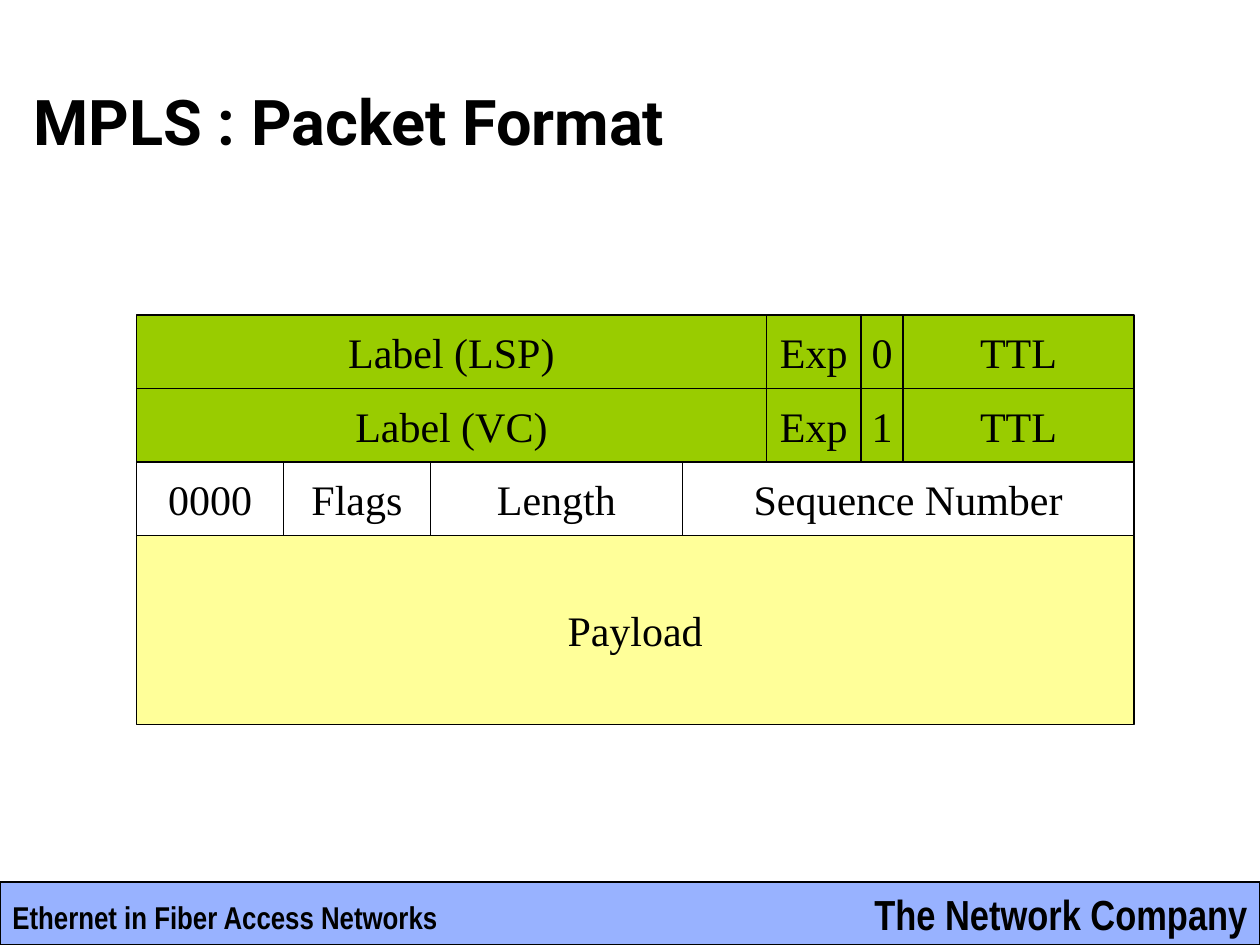
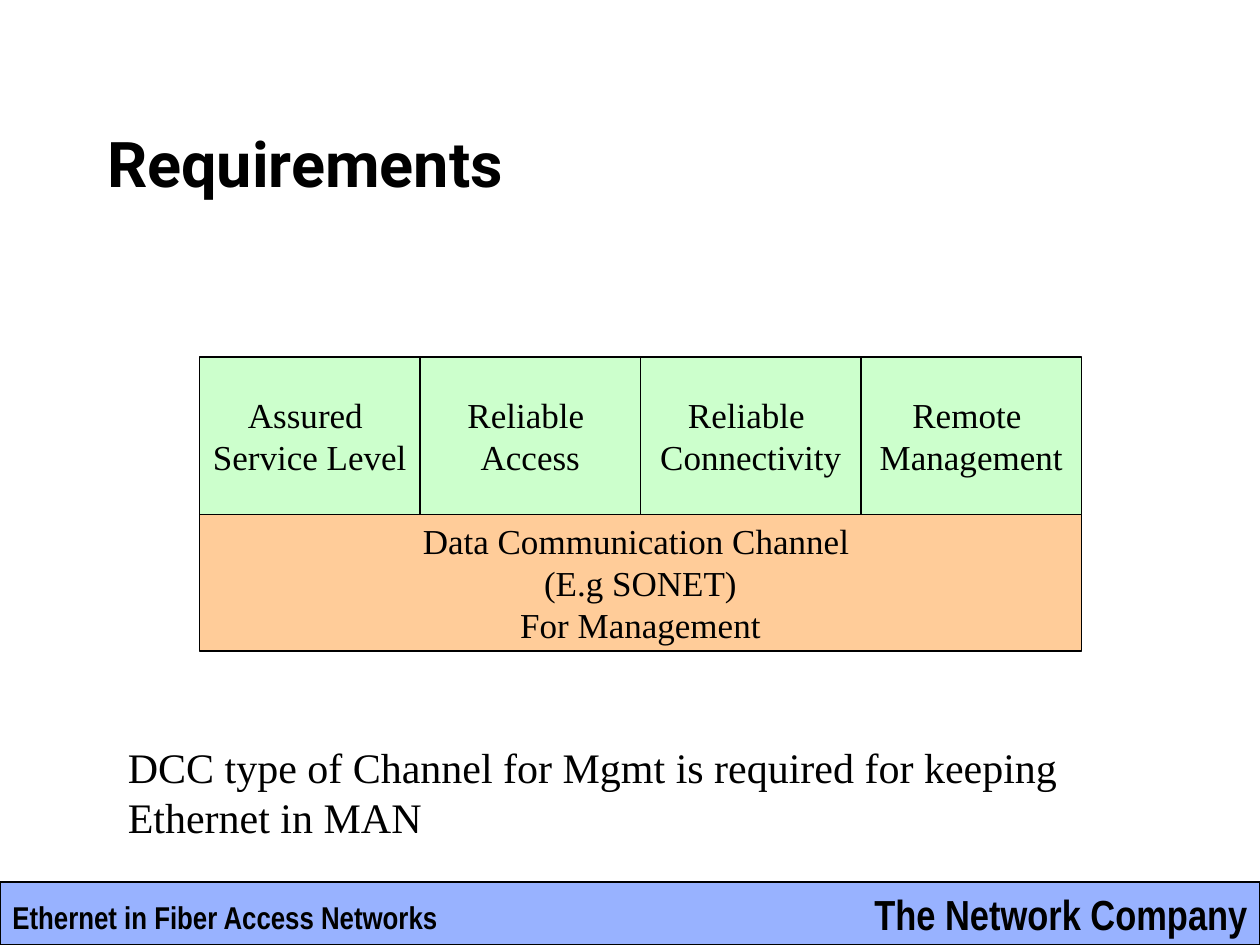
from dataclasses import dataclass

from lxml.etree import SubElement
from pptx import Presentation
from pptx.dml.color import RGBColor
from pptx.enum.shapes import MSO_SHAPE as Shape
from pptx.enum.text import MSO_ANCHOR as Anchor, MSO_AUTO_SIZE as AutoSize, PP_ALIGN as Align
from pptx.oxml.ns import qn
from pptx.util import Inches, Pt


@dataclass(frozen=True)
class Theme:
    """Colours, fonts and type sizes shared by the slides."""
    ink: str = "000000"
    band: str = "3366FF"
    label: str = "99CC00"
    payload: str = "FFFF99"
    requirement: str = "CCFFCC"
    channel: str = "FFCC99"
    title_font: str = "Roboto"
    body_font: str = "Times New Roman"
    footer_font: str = "Arial Narrow"
    title_size: int = 36
    body_size: int = 24
    small_size: int = 20
    footer_size: int = 18
    line_width: float = 0.75


THEME = Theme()
TITLE_ONLY = 5
GRID = 12


def grid(count):
    """Return the length of a number of twelfths of an inch."""
    return Inches(count / GRID)


def write_text(frame, text, font, size, align=Align.LEFT, bold=False, anchor=Anchor.TOP):
    """Fill a text frame with one paragraph per line of text."""
    frame.auto_size = AutoSize.NONE
    frame.vertical_anchor = anchor
    frame.text = text
    for para in frame.paragraphs:
        para.alignment = align
        para.font.name = font
        para.font.size = Pt(size)
        para.font.bold = bold
        para.font.color.rgb = RGBColor.from_string(THEME.ink)


def add_box(page, left, top, width, height, fill=None):
    """Draw an outlined rectangle, unfilled when no colour is given."""
    box = page.shapes.add_shape(Shape.RECTANGLE, left, top, width, height)
    box.shadow.inherit = False
    box.line.color.rgb = RGBColor.from_string(THEME.ink)
    box.line.width = Pt(THEME.line_width)
    if fill:
        box.fill.solid()
        box.fill.fore_color.rgb = RGBColor.from_string(fill)
    else:
        box.fill.background()
    return box


def add_text(page, left, top, width, height, text, font, size, **style):
    """Place a text box whose lines do not wrap."""
    frame = page.shapes.add_textbox(left, top, width, height).text_frame
    frame.word_wrap = False
    write_text(frame, text, font, size, **style)


def add_footer(page, left, top, width, height):
    """Draw the translucent band with the topic and company names."""
    band = add_box(page, left, top, width, height, THEME.band)
    colour = band.element.spPr.find(qn("a:solidFill")).find(qn("a:srgbClr"))
    SubElement(colour, qn("a:alpha"), val="50000")
    company_width, drop = Inches(3.27), Inches(0.08)
    add_text(page, left + width - company_width, top, company_width, height,
             "The Network Company", THEME.footer_font, THEME.body_size,
             align=Align.RIGHT, bold=True)
    add_text(page, left, top + drop, Inches(3.58), height - drop,
             "Ethernet in Fiber Access Networks", THEME.footer_font, THEME.footer_size,
             bold=True)


def add_page(deck, title, left, top):
    """Add a slide with the shared footer and a title at the given place."""
    page = deck.slides.add_slide(deck.slide_layouts[TITLE_ONLY])
    holder = page.shapes.title
    holder.left, holder.top = left, top
    holder.width, holder.height = Inches(8.5), Inches(1.25)
    write_text(holder.text_frame, title, THEME.title_font, THEME.title_size,
               bold=True, anchor=Anchor.MIDDLE)
    band_height = Inches(0.5)
    add_footer(page, 0, deck.slide_height - band_height, deck.slide_width, band_height)
    return page


def add_block_rows(page, left, top, rows, size):
    """Stack rows of adjoining blocks, measured in grid units."""
    for height, fill, blocks in rows:
        column = left
        for text, width in blocks:
            box = add_box(page, grid(column), grid(top), grid(width), grid(height), fill)
            box.text_frame.word_wrap = False
            write_text(box.text_frame, text, THEME.body_font, size,
                       align=Align.CENTER, anchor=Anchor.MIDDLE)
            column += width
        top += height


def add_packet_page(deck):
    """Build the packet format slide."""
    page = add_page(deck, "MPLS : Packet Format", grid(2), grid(4))
    rows = [
        (7, THEME.label, [(f"Label ({kind})", 60), ("Exp", 9), (stack_bit, 4), ("TTL", 22)])
        for kind, stack_bit in (("LSP", "0"), ("VC", "1"))
    ]
    rows += [
        (7, None, [("0000", 14), ("Flags", 14), ("Length", 24), ("Sequence Number", 43)]),
        (18, THEME.payload, [("Payload", 95)]),
    ]
    add_block_rows(page, 13, 30, rows, THEME.body_size)


def add_requirements_page(deck):
    """Build the requirements slide."""
    page = add_page(deck, "Requirements", grid(9), grid(8))
    needs = ("Assured \nService Level", "Reliable \nAccess",
             "Reliable \nConnectivity", "Remote \nManagement")
    channel = "Data Communication Channel \n(E.g SONET)\nFor Management"
    rows = [
        (15, THEME.requirement, [(need, 21) for need in needs]),
        (13, THEME.channel, [(channel, 84)]),
    ]
    add_block_rows(page, 19, 34, rows, THEME.small_size)
    add_text(page, grid(11), grid(70), Inches(7.66), Inches(0.9),
             "DCC type of Channel for Mgmt is required for keeping\nEthernet in MAN",
             THEME.body_font, THEME.body_size)


def main():
    """Build and save the deck."""
    deck = Presentation()
    deck.slide_width, deck.slide_height = Inches(10), Inches(7.5)
    add_packet_page(deck)
    add_requirements_page(deck)
    deck.save("out.pptx")


if __name__ == "__main__":
    main()
